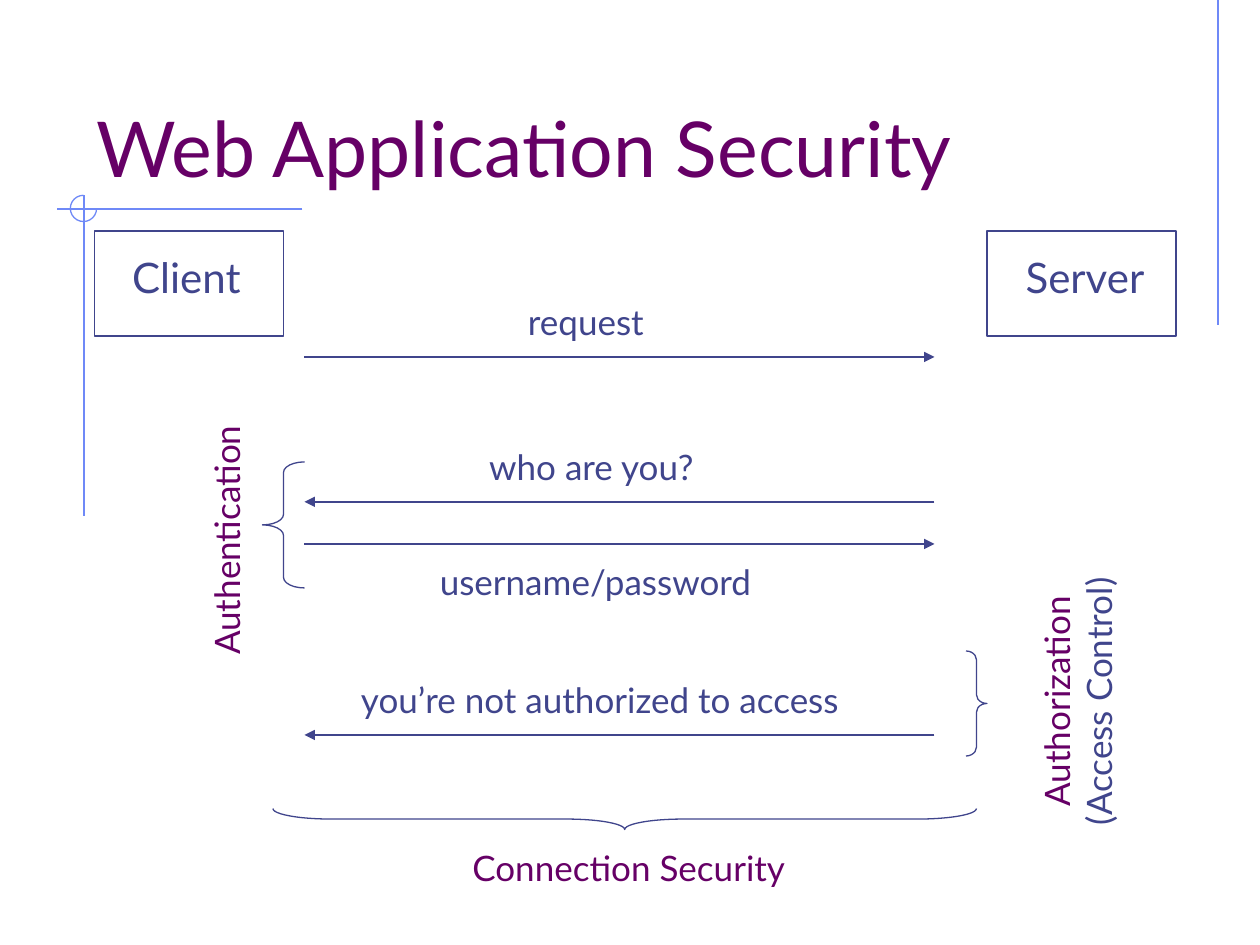
from dataclasses import dataclass

from pptx import Presentation
from pptx.dml.color import RGBColor
from pptx.enum.shapes import MSO_CONNECTOR, MSO_SHAPE
from pptx.enum.text import MSO_ANCHOR, MSO_AUTO_SIZE, PP_ALIGN
from pptx.oxml.ns import qn
from pptx.util import Inches, Pt
from lxml.etree import SubElement


@dataclass(frozen=True)
class Theme:
    font: str = "Lato"
    ink: RGBColor = RGBColor(0x40, 0x45, 0x8C)
    accent: RGBColor = RGBColor(0x66, 0x00, 0x66)
    rule: RGBColor = RGBColor(0x6F, 0x89, 0xF7)
    title: int = 44
    party: int = 24
    label: int = 20
    line: float = 0.75


THEME = Theme()
# The slide is a grid of 120 columns by 90 rows of square cells
COLUMNS, ROWS = 120, 90
CELL = Inches(10) // COLUMNS
CLIENT_SIDE, SERVER_SIDE = 29, 89
LABEL_HEIGHT = 5.3


def cells(*counts):
    return [round(count * CELL) for count in counts]


def add_line(slide, start, end, color=THEME.ink, arrow=False):
    line = slide.shapes.add_connector(
        MSO_CONNECTOR.STRAIGHT, *cells(*start, *end))
    line.line.color.rgb = color
    line.line.width = Pt(THEME.line)
    if arrow:
        SubElement(line.line._get_or_add_ln(), qn("a:tailEnd"), type="triangle")
    SubElement(line._element.spPr, qn("a:effectLst"))


def add_outline(slide, preset, box, color=THEME.ink, adjustments=(), rotation=0):
    outline = slide.shapes.add_shape(preset, *cells(*box))
    outline.shadow.inherit = False
    outline.fill.background()
    outline.line.color.rgb = color
    outline.line.width = Pt(THEME.line)
    for index, value in enumerate(adjustments):
        outline.adjustments[index] = value
    outline.rotation = rotation


def add_text(slide, lines, box, size=THEME.label, align=PP_ALIGN.LEFT, rotation=0):
    """Each line is a pair of wording and colour."""
    textbox = slide.shapes.add_textbox(*cells(*box))
    textbox.rotation = rotation
    frame = textbox.text_frame
    frame.word_wrap = False
    frame.auto_size = MSO_AUTO_SIZE.SHAPE_TO_FIT_TEXT
    frame.text = "\n".join(wording for wording, _ in lines)
    for paragraph, (_, color) in zip(frame.paragraphs, lines):
        paragraph.alignment = align
        for run in paragraph.runs:
            run.font.name = THEME.font
            run.font.size = Pt(size)
            run.font.color.rgb = color
    return frame


def add_decoration(slide):
    for start, end in (((116, 0), (116, 31)),
                       ((28.8, 19.9), (5.4, 19.9)),
                       ((8, 18.6), (8, 49.1))):
        add_line(slide, start, end, THEME.rule)
    # Three quarters of a circle; angles are in units of 100000/60000 degrees
    add_outline(slide, MSO_SHAPE.ARC, (6.7, 18.6, 2.5, 2.5), THEME.rule,
                adjustments=(0, 270 * 0.6))


def add_title(slide):
    frame = add_text(slide, [("Web Application Security", THEME.accent)],
                     (8, 4, 102, 15), THEME.title)
    frame.auto_size = MSO_AUTO_SIZE.NONE
    frame.word_wrap = True
    frame.vertical_anchor = MSO_ANCHOR.BOTTOM


def add_party(slide, name, left, name_left, name_width):
    add_text(slide, [(name, THEME.ink)], (name_left, 23.4, name_width, 6), THEME.party)
    add_outline(slide, MSO_SHAPE.RECTANGLE, (left, 22, 18, 10))


def add_message(slide, wording, row, left, width, to_server, label_offset=-6):
    ends = [(CLIENT_SIDE, row), (SERVER_SIDE, row)]
    start, end = ends if to_server else reversed(ends)
    add_line(slide, start, end, arrow=True)
    add_text(slide, [(wording, THEME.ink)],
             (left, row + label_offset, width, LABEL_HEIGHT))


def main():
    prs = Presentation()
    prs.slide_width, prs.slide_height = cells(COLUMNS, ROWS)
    slide = prs.slides.add_slide(prs.slide_layouts[6])

    add_decoration(slide)
    add_title(slide)

    # Messages between the two parties
    add_message(slide, "request", 34, 49.1, 14.4, to_server=True)
    add_message(slide, "who are you?", 47.8, 45.4, 23.2, to_server=False)
    add_message(slide, "username/password", 51.8, 40.7, 34.7, to_server=True,
                label_offset=1)
    add_message(slide, "you’re not authorized to access", 70, 33.2, 51.1,
                to_server=False)

    # Braces that group the messages by security concern
    add_outline(slide, MSO_SHAPE.LEFT_BRACE, (25, 44, 4, 12), adjustments=(0.25, 0.5))
    add_text(slide, [("Authentication", THEME.accent)],
             (8.9, 48.2, 25.4, LABEL_HEIGHT), rotation=270)
    add_outline(slide, MSO_SHAPE.LEFT_BRACE, (58.5, 44.5, 2, 67),
                adjustments=(2.79, 0.5), rotation=270)
    add_text(slide, [("Connection Security", THEME.accent)],
             (43.8, 80, 33.7, LABEL_HEIGHT))
    add_outline(slide, MSO_SHAPE.RIGHT_BRACE, (92, 62, 2, 10), adjustments=(0.42, 0.5))
    add_text(slide, [("Authorization", THEME.accent), ("(Access Control)", THEME.ink)],
             (88.9, 62.2, 27.4, 9.2), align=PP_ALIGN.CENTER, rotation=270)

    # The two parties
    add_party(slide, "Client", 9, 11.4, 13.1)
    add_party(slide, "Server", 94, 96.5, 14.4)

    prs.save("out.pptx")


if __name__ == "__main__":
    main()
